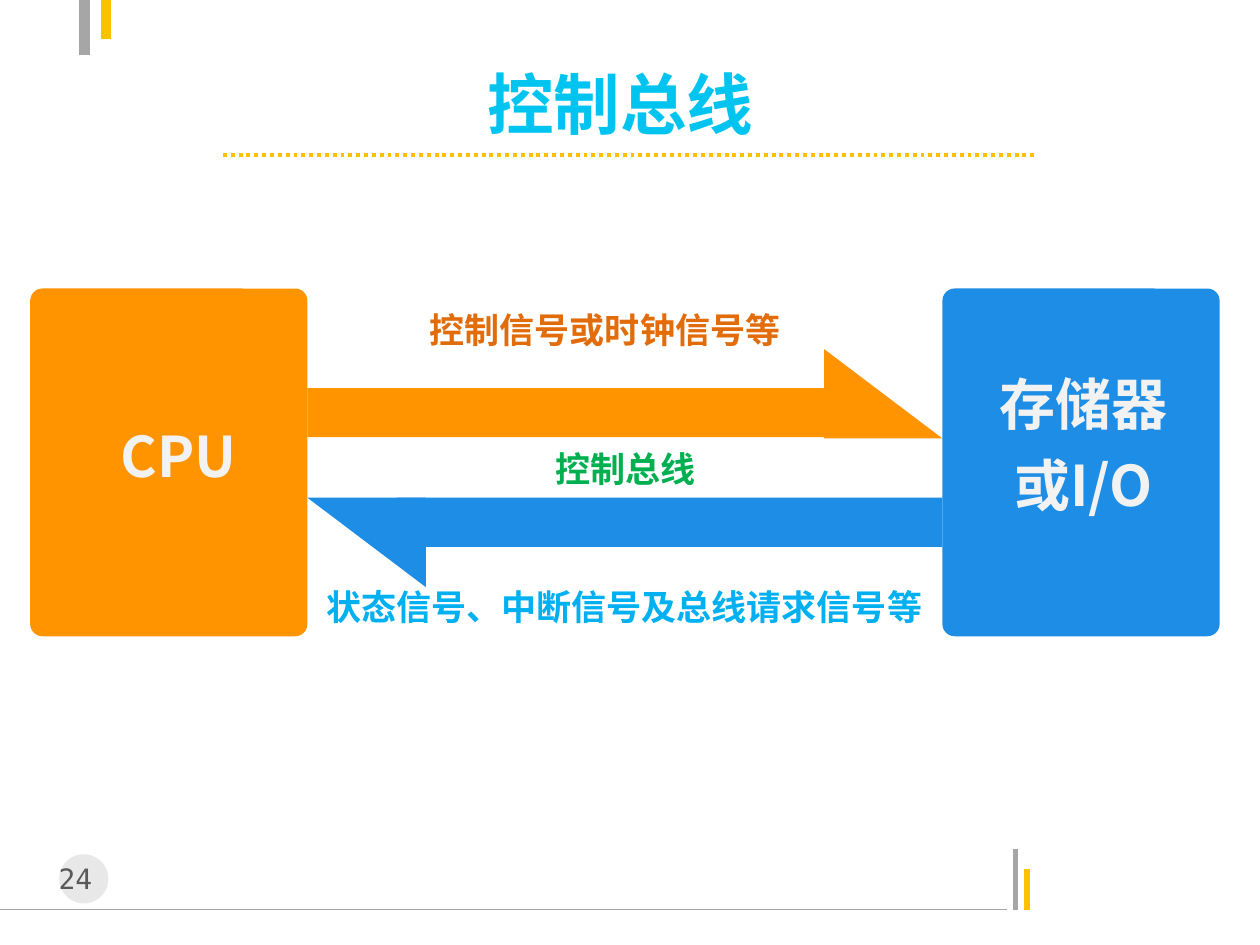
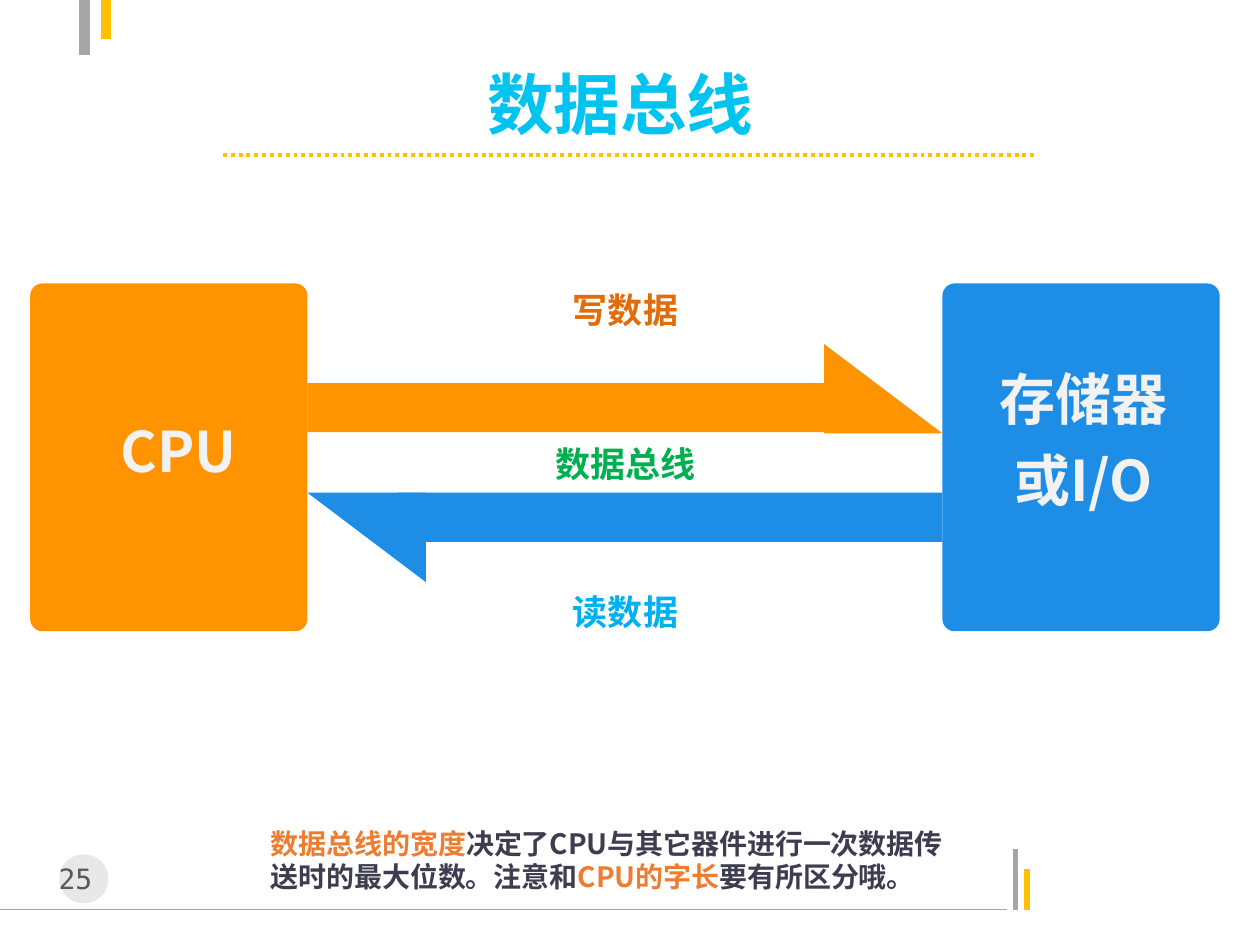
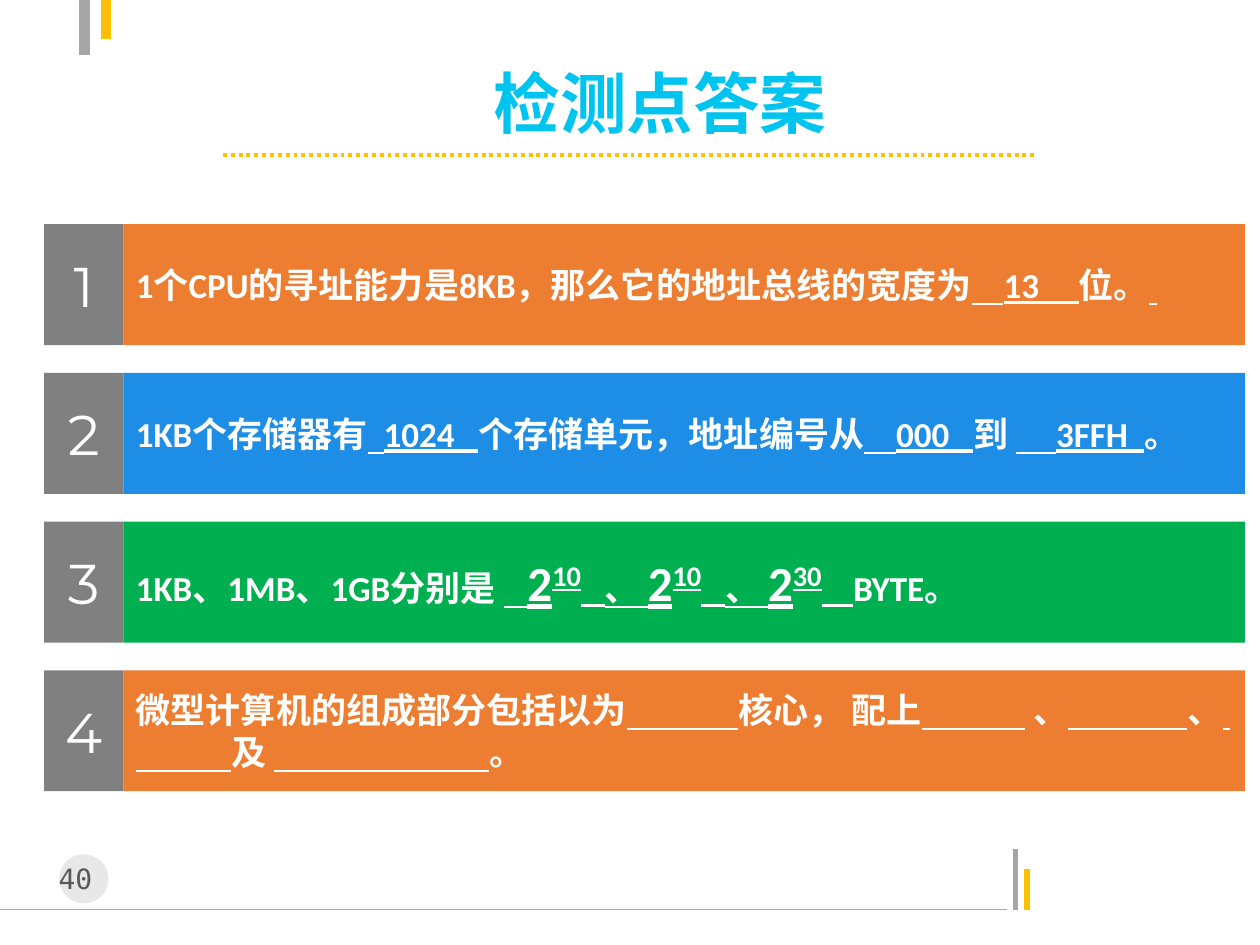
import pptx
import pptx.dml.color
import pptx.enum.dml
import pptx.enum.shapes
import pptx.enum.text
import pptx.oxml
import pptx.oxml.ns
import pptx.util

SHAPE = pptx.enum.shapes.MSO_SHAPE
ALIGN = pptx.enum.text.PP_ALIGN
ANCHOR = pptx.enum.text.MSO_ANCHOR
inch = pptx.util.Inches
rgb = pptx.dml.color.RGBColor.from_string

# Shared colours and fonts
GRAY, GOLD, TITLE = "A6A6A6", "FFC000", "00C4F0"
ORANGE, BLUE, GREEN = "FF9300", "1D8DE5", "00B050"
RUST, SKY, ACCENT, INK = "E36C0A", "00B0F0", "ED7D31", "3E3D4F"
CJK, SERIF = "Noto Sans CJK SC", "Times New Roman"
TIGHT, NORMAL = (0.02, 0, 0.01, 0), (0.1, 0.05, 0.1, 0.05)


def add_part(slide, kind, box, fill=None):
    """Add a borderless shape, or a text box when kind is None."""
    box = [inch(length) for length in box]
    if kind is None:
        return slide.shapes.add_textbox(*box)
    part = slide.shapes.add_shape(kind, *box)
    part.shadow.inherit = False
    part.line.fill.background()
    if fill:
        part.fill.solid()
        part.fill.fore_color.rgb = rgb(fill)
    else:
        part.fill.background()
    return part


def write(part, paragraphs, size, font, color, bold=True, align=ALIGN.LEFT,
          anchor=ANCHOR.TOP, insets=NORMAL, wrap=True, spacing=None):
    """Fill a part with paragraphs of (text, style) runs."""
    frame = part.text_frame
    frame.word_wrap, frame.vertical_anchor = wrap, anchor
    (frame.margin_left, frame.margin_top,
     frame.margin_right, frame.margin_bottom) = [inch(i) for i in insets]
    for number, runs in enumerate(paragraphs):
        paragraph = frame.add_paragraph() if number else frame.paragraphs[0]
        paragraph.alignment, paragraph.line_spacing = align, spacing
        for text, style in runs:
            run = paragraph.add_run()
            run.text = text
            run.font.name, run.font.bold = font, bold
            run.font.size = pptx.util.Pt(style.get("size", size))
            run.font.color.rgb = rgb(style.get("color", color))
            properties = run._r.get_or_add_rPr()
            if style.get("underline"):
                run.font.underline = True
            if "raised" in style:
                properties.set("baseline", str(style["raised"] * 1000))
            east_asian = pptx.oxml.parse_xml(
                f'<a:ea {pptx.oxml.ns.nsdecls("a")} typeface="{CJK}"/>')
            properties.find(pptx.oxml.ns.qn("a:latin")).addnext(east_asian)


deck = pptx.Presentation()
deck.slide_width, deck.slide_height = inch(10), inch(7.5)

# Frame shared by all slides: page number, title, title left, top and width
pages = [
    ("24", "控制总线", 3.77, 0.57, 2.47),
    ("25", "数据总线", 3.77, 0.57, 2.47),
    ("40", "检测点答案", 3.82, 0.56, 2.9),
]
rules = [
    (0, 7.22, 7.99, 7.22, GRAY, 0.75),
    (8.06, 7.22, 8.06, 6.74, GRAY, 3),
    (8.15, 7.22, 8.15, 6.9, GOLD, 3),
    (0.67, 0.44, 0.67, -0.03, GRAY, 6),
    (0.84, 0, 0.84, 0.31, GOLD, 6),
    (1.77, 1.23, 8.23, 1.23, GOLD, 2.25),
]
for page, title, left, top, width in pages:
    slide = deck.slides.add_slide(deck.slide_layouts[6])
    for *ends, color, weight in rules:
        rule = slide.shapes.add_connector(
            pptx.enum.shapes.MSO_CONNECTOR.STRAIGHT, *[inch(end) for end in ends])
        rule.line.color.rgb = rgb(color)
        rule.line.width = pptx.util.Pt(weight)
        rule._element.spPr.append(
            pptx.oxml.parse_xml(f'<a:effectLst {pptx.oxml.ns.nsdecls("a")}/>'))
    # The last rule underlines the title
    rule.line.dash_style = pptx.enum.dml.MSO_LINE.ROUND_DOT

    disc = add_part(slide, SHAPE.OVAL, (0.47, 6.78, 0.39, 0.39), "BFBFBF")
    disc_color = disc._element.spPr.find(".//" + pptx.oxml.ns.qn("a:srgbClr"))
    disc_color.append(pptx.oxml.parse_xml(
        f'<a:alpha {pptx.oxml.ns.nsdecls("a")} val="35000"/>'))
    write(add_part(slide, None, (0.31, 6.79, 0.71, 0.37)), [[(page + " ", {})]],
          16, "DejaVu Sans Mono", "595959", bold=False, align=ALIGN.CENTER)
    write(add_part(slide, None, (left, top, width, 0.5)), [[(title, {})]],
          38, CJK, TITLE, anchor=ANCHOR.MIDDLE, wrap=False)

control_slide, data_slide, answer_slide = deck.slides

# Bus diagrams: slide, top, then labels as text, left, drop, width, colour, alignment
buses = [
    (control_slide, 2.29, [
        ("控制信号或时钟信号等", 3.39, 0.16, 2.82, RUST, ALIGN.JUSTIFY),
        ("状态信号、中断信号及总线请求信号等", 2.56, 2.36, 4.77, SKY, ALIGN.RIGHT),
        ("控制总线", 2.44, 1.2, 5.04, GREEN, ALIGN.CENTER)]),
    (data_slide, 2.25, [
        ("写数据", 4.43, 0.04, 1.06, RUST, ALIGN.CENTER),
        ("读数据", 4.43, 2.44, 1.06, SKY, ALIGN.CENTER),
        ("数据总线", 2.44, 1.2, 5.04, GREEN, ALIGN.CENTER)]),
]
for slide, top, labels in buses:
    # Both devices
    for left, color in [(0.24, ORANGE), (7.48, BLUE)]:
        device = add_part(slide, SHAPE.ROUNDED_RECTANGLE, (left, top, 2.2, 2.76), color)
        device.adjustments[0] = 0.044
    # Half arrows out and back
    for shaft_left, shaft_drop, head_left, head_drop, turn, color in [
            (2.44, 0.79, 6.54, 0.48, 0, ORANGE), (3.15, 1.66, 2.44, 1.66, 180, BLUE)]:
        add_part(slide, SHAPE.RECTANGLE, (shaft_left, top + shaft_drop, 4.33, 0.39), color)
        head = add_part(slide, SHAPE.RIGHT_TRIANGLE,
                        (head_left, top + head_drop, 0.94, 0.71), color)
        head.rotation = turn
    # Device names
    for names, left, drop, width, height in [
            (["CPU"], 0.65, 0.9, 1.54, 1.05), (["存储器", "或I/O"], 7.32, 0.49, 2.56, 1.87)]:
        name_box = add_part(slide, SHAPE.FLOWCHART_PROCESS, (left, top + drop, width, height))
        write(name_box, [[(name, {})] for name in names], 32, CJK, "F2F2F2",
              align=ALIGN.CENTER, spacing=1.2)
    # Signal names
    for text, left, drop, width, color, align in labels:
        between = color == GREEN
        label = add_part(slide, None, (left, top + drop, width, 0.46 if between else 0.43))
        write(label, [[(text, {})]], 20, SERIF, color, align=align, insets=TIGHT,
              wrap=False, anchor=ANCHOR.MIDDLE if between else ANCHOR.TOP)

# Remark on bus width
remark = [
    ("数据总线的宽度", {"color": ACCENT}),
    ("决定了CPU与其它器件进行一次数据传送时的最大位数。注意和", {}),
    ("CPU的字长", {"color": ACCENT}),
    ("要有所区分哦。", {}),
]
write(add_part(data_slide, None, (2.05, 6.51, 5.63, 0.64)), [remark], 16, CJK, INK)

# Answers: underlined runs are the filled or empty blanks
plain, blank = {}, {"underline": True}
base = {"underline": True, "size": 28}
exponent = {"underline": True, "size": 28, "raised": 30}
answers = [
    (ACCENT, [("1个CPU的寻址能力是8KB，那么它的地址总线的宽度为", plain),
              ("    13     ", blank), ("位。", plain), (" ", blank)]),
    (BLUE, [("1KB个存储器有", plain), ("  1024   ", blank),
            ("个存储单元，地址编号从", plain), ("    000   ", blank),
            ("到 ", plain), ("     3FFH  ", blank), ("。", plain)]),
    (GREEN, [("1KB、1MB、1GB分别是 ", plain), ("   ", blank),
             ("2", base), ("10", exponent), ("   、 ", blank),
             ("2", base), ("10", exponent), ("   、 ", blank),
             ("2", base), ("30", exponent), ("    ", blank), ("BYTE。", plain)]),
    (ACCENT, [("微型计算机的组成部分包括以为", plain), (" " * 14, blank),
              ("核心， 配上", plain), (" " * 13, blank), (" 、", plain),
              (" " * 15, blank), ("、", plain), (" " * 14, blank),
              ("及 ", plain), (" " * 27, blank), ("。", plain)]),
]
for row, (color, runs) in enumerate(answers):
    top = 1.78 + 1.18 * row
    answer = add_part(answer_slide, SHAPE.RECTANGLE, (0.98, top, 8.9, 0.96), color)
    write(answer, [runs], 20, "Calibri", "FFFFFF", anchor=ANCHOR.MIDDLE)
    number = add_part(answer_slide, SHAPE.RECTANGLE, (0.35, top, 0.63, 0.96), "808080")
    write(number, [[(str(row + 1), {})]], 32, "Montserrat", "FFFFFF", bold=False,
          align=ALIGN.CENTER, anchor=ANCHOR.MIDDLE)

deck.save("out.pptx")
